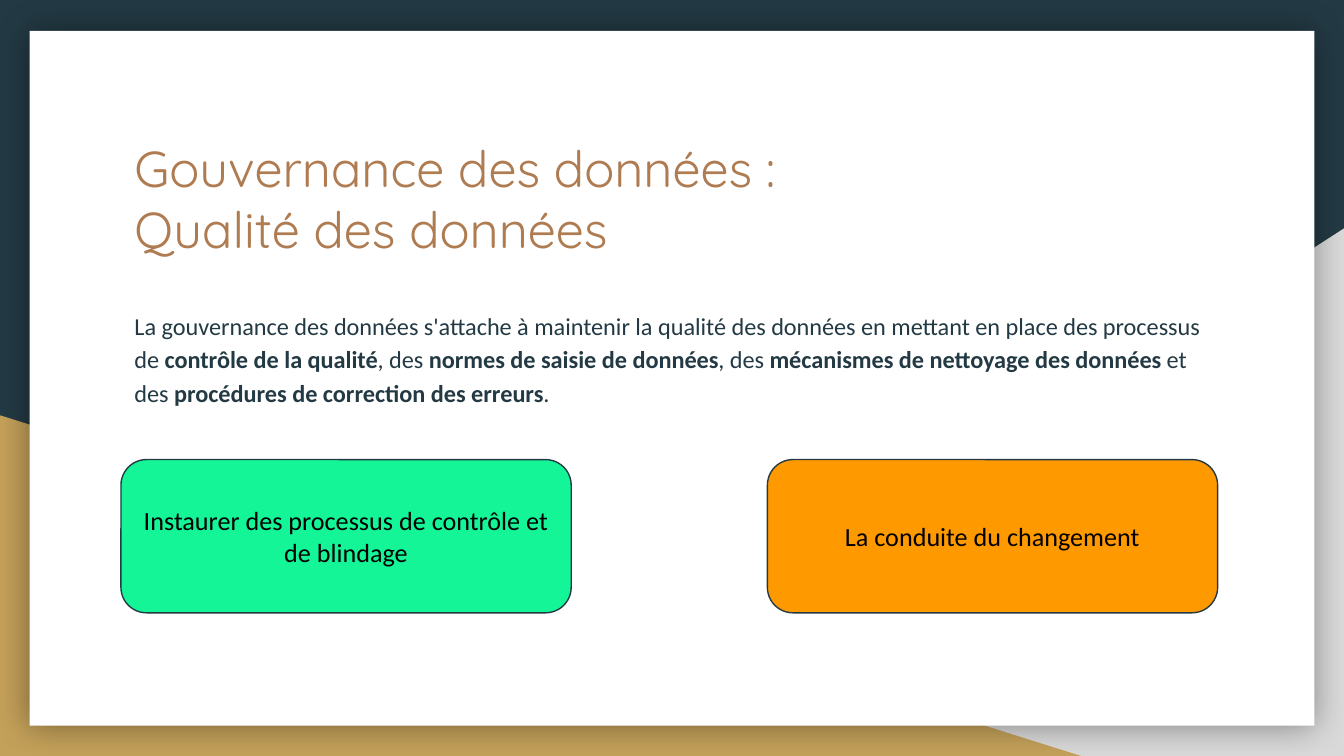
"""Build a slide on data governance and data quality."""
import pptx
import pptx.dml.color
import pptx.enum.shapes
import pptx.enum.text
import pptx.oxml
import pptx.oxml.ns
import pptx.util
from pptx.util import Inches

THEME = {
    "navy": "233A44", "grey": "D9D9D9", "gold": "C4A15A", "white": "FFFFFF",
    "copper": "AF7B51", "green": "14F597", "orange": "FF9900", "black": "000000",
    "heading_font": "Quicksand", "text_font": "Calibri",
    "title_size": 27, "body_size": 13, "card_size": 14,
}
SHAPES = pptx.enum.shapes.MSO_SHAPE
ANCHOR = pptx.enum.text.MSO_ANCHOR


def add_panel(kind, box, fill):
    panel = slide.shapes.add_shape(kind, *map(Inches, box))
    panel.shadow.inherit = False
    panel.fill.solid()
    panel.fill.fore_color.rgb = pptx.dml.color.RGBColor.from_string(THEME[fill])
    panel.line.fill.background()
    return panel


def format_text(shape, font, size, color, anchor):
    frame = shape.text_frame
    frame.word_wrap = True
    frame.auto_size = pptx.enum.text.MSO_AUTO_SIZE.NONE
    frame.vertical_anchor = anchor
    frame.margin_left = frame.margin_right = Inches(0.1)
    frame.margin_top = frame.margin_bottom = Inches(0.1)
    for paragraph in frame.paragraphs:
        paragraph.space_before = pptx.util.Pt(0)
        paragraph.font.name = THEME[font]
        paragraph.font.size = pptx.util.Pt(THEME[size])
        paragraph.font.color.rgb = pptx.dml.color.RGBColor.from_string(THEME[color])


presentation = pptx.Presentation()
presentation.slide_width = Inches(10)
presentation.slide_height = Inches(10) * 9 // 16
slide = presentation.slides.add_slide(presentation.slide_layouts[1])
slide.background.fill.solid()
slide.background.fill.fore_color.rgb = pptx.dml.color.RGBColor.from_string(THEME["navy"])

grey_corner = add_panel(SHAPES.RIGHT_TRIANGLE, (3.92, 1.7, 6.08, 3.93), "grey")
grey_corner._element.spPr.xfrm.set("flipH", "1")
add_panel(SHAPES.RIGHT_TRIANGLE, (0, 3.09, 8.06, 2.54), "gold")
page = add_panel(SHAPES.RECTANGLE, (0.22, 0.23, 9.56, 5.17), "white")
page._element.spPr.find(pptx.oxml.ns.qn("a:effectLst")).append(pptx.oxml.parse_xml(
    f'<a:outerShdw {pptx.oxml.ns.nsdecls("a")} blurRad="{pptx.util.Pt(18)}" dist="0" dir="0" '
    'algn="ctr" rotWithShape="0"><a:srgbClr val="000000"><a:alpha val="40000"/>'
    '</a:srgbClr></a:outerShdw>'))

heading = slide.shapes.title
explanation = slide.placeholders[1]
for placeholder, top, height in ((heading, 0.92, 1.04), (explanation, 2.18, 2.68)):
    placeholder.left, placeholder.top = Inches(0.9), Inches(top)
    placeholder.width, placeholder.height = Inches(8.21), Inches(height)
    slide.shapes._spTree.append(placeholder._element)

heading.text_frame.text = "Gouvernance des données :\nQualité des données"
format_text(heading, "heading_font", "title_size", "copper", ANCHOR.TOP)
for line in heading.text_frame.paragraphs:
    line.alignment = pptx.enum.text.PP_ALIGN.LEFT
    line.line_spacing = 1.0

statement = explanation.text_frame.paragraphs[0]
for wording, bold in (
    ("La gouvernance des données s'attache à maintenir la qualité des données "
     "en mettant en place des processus de ", False),
    ("contrôle de la qualité", True),
    (", des ", False),
    ("normes de saisie de données", True),
    (", des ", False),
    ("mécanismes de nettoyage des données", True),
    (" et des ", False),
    ("procédures de correction des erreurs", True),
    (".", False),
):
    passage = statement.add_run()
    passage.text = wording
    passage.font.bold = bold
statement_properties = statement._p.get_or_add_pPr()
statement_properties.set("marL", "0")
statement_properties.set("indent", "0")
statement_properties.append(pptx.oxml.parse_xml(f'<a:buNone {pptx.oxml.ns.nsdecls("a")}/>'))
format_text(explanation, "text_font", "body_size", "navy", ANCHOR.TOP)
statement.line_spacing = 1.15
statement.space_after = pptx.util.Pt(12)

for left, fill, action in (
    (0.9, "green", "Instaurer des processus de contrôle et de blindage"),
    (5.71, "orange", "La conduite du changement"),
):
    card = add_panel(SHAPES.ROUNDED_RECTANGLE, (left, 3.42, 3.35, 1.14), fill)
    card.line.color.rgb = pptx.dml.color.RGBColor.from_string(THEME["navy"])
    card.line.width = pptx.util.Pt(0.75)
    card.text_frame.text = action
    format_text(card, "text_font", "card_size", "black", ANCHOR.MIDDLE)
    card.text_frame.paragraphs[0].alignment = pptx.enum.text.PP_ALIGN.CENTER

presentation.save("out.pptx")
